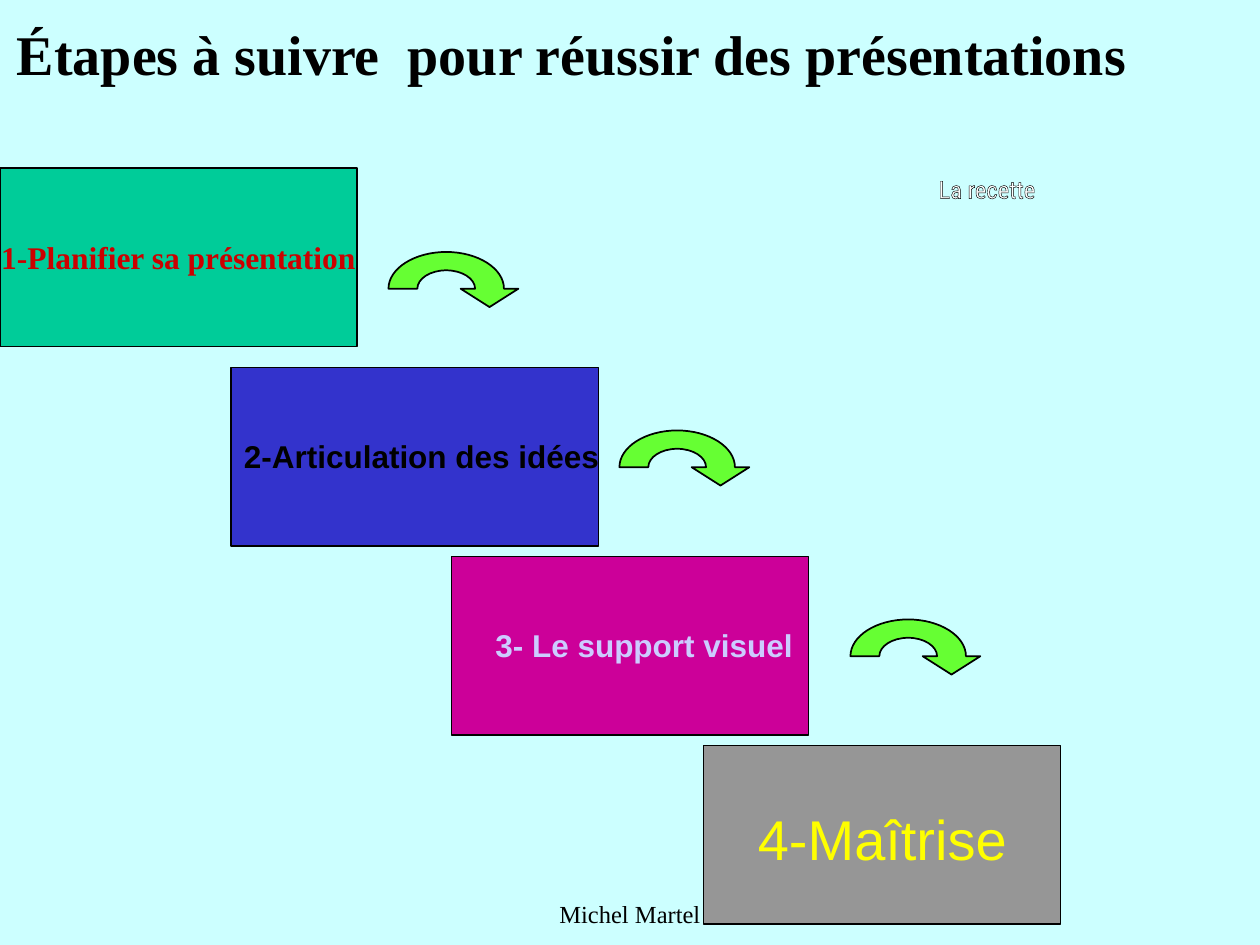
from dataclasses import dataclass
from typing import NamedTuple, Optional

from pptx import Presentation
from pptx.dml.color import RGBColor
from pptx.enum.shapes import MSO_SHAPE
from pptx.enum.text import MSO_ANCHOR, MSO_AUTO_SIZE, PP_ALIGN
from pptx.oxml import parse_xml
from pptx.oxml.ns import nsdecls, qn
from pptx.util import Emu, Inches, Pt

RECTANGLE = MSO_SHAPE.RECTANGLE
LEFT, CENTER = PP_ALIGN.LEFT, PP_ALIGN.CENTER
TOP, MIDDLE = MSO_ANCHOR.TOP, MSO_ANCHOR.MIDDLE
FIXED, GROW = MSO_AUTO_SIZE.NONE, MSO_AUTO_SIZE.SHAPE_TO_FIT_TEXT

SLIDE_WIDTH, SLIDE_HEIGHT = Inches(10), Inches(7.5)
COLUMNS = 120
UNIT = SLIDE_WIDTH // COLUMNS
KAPPA = 0.55


@dataclass(frozen=True)
class Theme:
    background: str = "CCFFFF"
    ink: str = "000000"
    arrow: str = "66FF33"
    green: str = "00CC99"
    blue: str = "3333CC"
    magenta: str = "CC0099"
    gray: str = "969696"
    red: str = "CC0000"
    lavender: str = "CCCCFF"
    yellow: str = "FFFF00"
    metal_dark: str = "707070"
    metal_light: str = "FFFFFF"
    serif: str = "Times New Roman"
    sans: str = "Arial"
    condensed: str = "Roboto Condensed"
    large: int = 32
    medium: int = 18
    small: int = 14
    line: float = 1
    outline: float = 0.75


THEME = Theme()


class Box(NamedTuple):
    column: float
    row: float
    columns: float
    rows: float

    def lengths(self) -> list[Emu]:
        return [Emu(round(value * UNIT)) for value in self]


class Arrow(NamedTuple):
    column: float
    row: float
    columns: float = 11
    rows: float = 7


@dataclass(frozen=True)
class Label:
    text: str
    color: str = THEME.ink
    font: str = THEME.sans
    size: int = THEME.medium
    bold: bool = False
    align: PP_ALIGN = LEFT
    anchor: MSO_ANCHOR = TOP
    wrap: bool = False
    fit: MSO_AUTO_SIZE = FIXED
    spacing: Optional[float] = None


@dataclass(frozen=True)
class Step:
    panel: Box
    fill: str
    label: Label
    label_box: Optional[Box] = None
    arrow: Optional[Arrow] = None


TITLE = Label("Étapes à suivre  pour réussir des présentations", font=THEME.serif,
              size=THEME.large, bold=True, align=CENTER, anchor=MIDDLE, wrap=True,
              spacing=0.8)
AUTHOR = Label("Michel Martel", font=THEME.serif, size=THEME.small,
               align=CENTER, anchor=MIDDLE)
RECIPE = Label("La recette", font=THEME.condensed, size=THEME.small, align=CENTER)

STEPS = [
    Step(Box(0, 16, 34, 17), THEME.green,
         Label("1-Planifier sa présentation", THEME.red, THEME.serif, bold=True,
               align=CENTER, anchor=MIDDLE),
         arrow=Arrow(37, 24)),
    Step(Box(22, 35, 35, 17), THEME.blue,
         Label("2-Articulation des idées", bold=True, fit=GROW),
         Box(22.05, 41, 36.3, 4.8), Arrow(59, 41)),
    Step(Box(43, 53, 34, 17), THEME.magenta,
         Label("3- Le support visuel", THEME.lavender, bold=True, fit=GROW),
         Box(46, 59, 30.7, 4.8), Arrow(81, 59)),
    Step(Box(67, 71, 34, 17), THEME.gray,
         Label("4-Maîtrise", THEME.yellow, size=THEME.large, fit=GROW),
         Box(71, 76, 26.2, 7.7)),
]


def apply_format(target, values: dict) -> None:
    for name, value in values.items():
        setattr(target, name, value)


def write_label(shape, label: Label):
    frame = shape.text_frame
    paragraph = frame.paragraphs[0]
    run = paragraph.add_run()
    run.text = label.text
    apply_format(frame, {"auto_size": label.fit, "word_wrap": label.wrap,
                         "vertical_anchor": label.anchor})
    apply_format(paragraph, {"alignment": label.align, "line_spacing": label.spacing})
    apply_format(run.font, {"name": label.font, "size": Pt(label.size), "bold": label.bold})
    run.font.color.rgb = RGBColor.from_string(label.color)
    return run


def add_label(shapes, box: Box, label: Label):
    return write_label(shapes.add_textbox(*box.lengths()), label)


def paint(shape, fill: str) -> None:
    shape.shadow.inherit = False
    shape.fill.solid()
    shape.fill.fore_color.rgb = RGBColor.from_string(fill)
    shape.line.color.rgb = RGBColor.from_string(THEME.ink)
    shape.line.width = Pt(THEME.line)


def half_ellipse(arrow: Arrow, share: float) -> list[tuple[float, float]]:
    center_x, center_y = arrow.columns / 2, arrow.rows / 2
    radius_x, radius_y = center_x * share, center_y * share
    relative = [(-1, KAPPA), (-KAPPA, 1), (0, 1), (KAPPA, 1), (1, KAPPA), (1, 0)]
    return [(center_x + radius_x * x, center_y - radius_y * y) for x, y in relative]


def bend(segments: list) -> None:
    curve = parse_xml(f'<a:cubicBezTo {nsdecls("a")}/>')
    segments[0].addprevious(curve)
    for segment in segments:
        curve.append(segment[0])
        segment.getparent().remove(segment)


def add_arrow(shapes, arrow: Arrow) -> None:
    width, height = arrow.columns, arrow.rows
    inner = [(width - x, y) for x, y in half_ellipse(arrow, 0.5)]
    head = [(width * 9 / 8, height / 2), (width * 7 / 8, height * 3 / 4),
            (width * 5 / 8, height / 2)]
    outline = [(width * 3 / 4, height / 2), *inner, (0, height / 2),
               *half_ellipse(arrow, 1), *head]
    points = [(round((arrow.column + x) * UNIT), round((arrow.row + y) * UNIT))
              for x, y in outline]
    builder = shapes.build_freeform(*points[0])
    builder.add_line_segments(points[1:], close=True)
    shape = builder.convert_to_shape()
    segments = list(shape._element.iter(qn("a:lnTo")))
    for first in (0, 3, 7, 10):
        bend(segments[first:first + 3])
    left, top, box_width, box_height = Box(*arrow).lengths()
    apply_format(shape, {"left": left, "top": top, "width": box_width, "height": box_height})
    for geometry in shape._element.iter(qn("a:path")):
        geometry.set("w", str(box_width))
        geometry.set("h", str(box_height))
    paint(shape, THEME.arrow)


def add_step(slide, step: Step) -> None:
    shapes = slide.shapes.add_group_shape().shapes
    panel = shapes.add_shape(RECTANGLE, *step.panel.lengths())
    paint(panel, step.fill)
    if step.label_box:
        add_label(shapes, step.label_box, step.label)
    else:
        write_label(panel, step.label)
    if step.arrow:
        add_arrow(shapes, step.arrow)


def make_metallic(run) -> None:
    run.font.fill.background()
    element = run._r.get_or_add_rPr()
    stops = "".join(
        f'<a:gs pos="{position}"><a:srgbClr val="{color}"/></a:gs>'
        for position, color in [(0, THEME.metal_dark), (50000, THEME.metal_light),
                                (100000, THEME.metal_dark)])
    gradient = parse_xml(f'<a:gradFill {nsdecls("a")}><a:gsLst>{stops}</a:gsLst>'
                         '<a:lin ang="2700000" scaled="1"/></a:gradFill>')
    outline = parse_xml(f'<a:ln {nsdecls("a")} w="{Pt(THEME.outline)}"><a:solidFill>'
                        f'<a:srgbClr val="{THEME.ink}"/></a:solidFill></a:ln>')
    element.replace(element[0], gradient)
    element.insert(0, outline)


def main() -> None:
    presentation = Presentation()
    apply_format(presentation, {"slide_width": SLIDE_WIDTH, "slide_height": SLIDE_HEIGHT})
    slide = presentation.slides.add_slide(presentation.slide_layouts[6])
    slide.background.fill.solid()
    slide.background.fill.fore_color.rgb = RGBColor.from_string(THEME.background)
    add_label(slide.shapes, Box(27, 84, 66, 6), AUTHOR)
    add_label(slide.shapes, Box(0, 0, 109, 11.4), TITLE)
    for step in STEPS:
        add_step(slide, step)
    make_metallic(add_label(slide.shapes, Box(80, 16, 28, 29), RECIPE))
    presentation.save("out.pptx")


if __name__ == "__main__":
    main()
